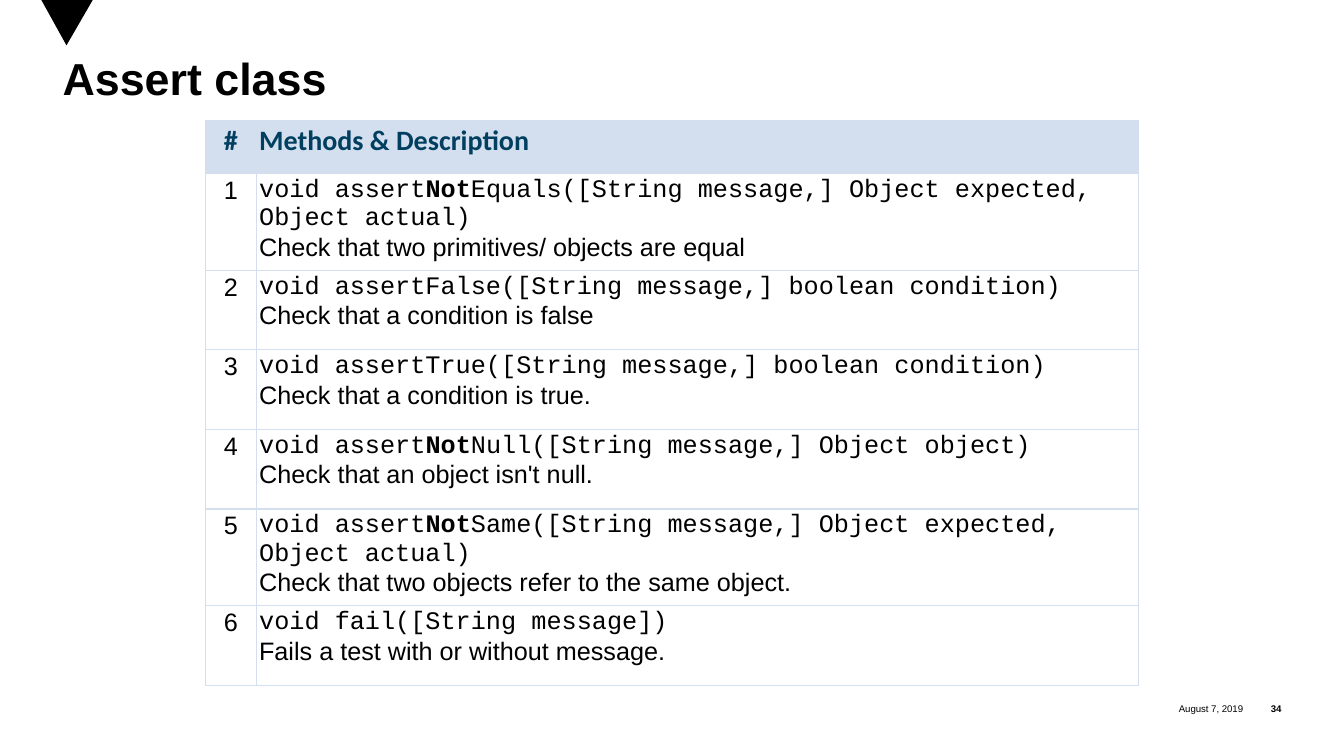
from lxml.etree import SubElement
from pptx import Presentation
from pptx.dml.color import RGBColor
from pptx.enum.text import MSO_ANCHOR, PP_ALIGN
from pptx.oxml.ns import qn
from pptx.util import Inches, Pt

INK = {"black": "000000", "navy": "003F60", "pale": "D3DFEE"}
CODE = "Courier New"
ROWS = [
    (["void assert", "Not", "Equals([String message,] Object expected, Object actual)"],
     "Check that two primitives/ objects are equal"),
    (["void assertFalse([String message,] boolean condition)"],
     "Check that a condition is false"),
    (["void assertTrue([String message,] boolean condition)"],
     "Check that a condition is true."),
    (["void assert", "Not", "Null([String message,] Object object)"],
     "Check that an object isn't null."),
    (["void assert", "Not", "Same([String message,] Object expected, Object actual)"],
     "Check that two objects refer to the same object."),
    (["void fail([String message])"],
     "Fails a test with or without message."),
]


def tint(name):
    return RGBColor.from_string(INK[name])


def write(para, text, size=18, font="Arial", color="black", bold=False, align=PP_ALIGN.LEFT):
    para.alignment = align
    run = para.add_run()
    run.text = text
    run.font.size = Pt(size)
    run.font.name = font
    run.font.bold = bold
    run.font.color.rgb = tint(color)


class Page:
    def __init__(self, deck):
        self.slide = deck.slides.add_slide(deck.slide_layouts[5])
        self.shapes = self.slide.shapes
        self.pad = Inches(0.03)
        self.head = {"size": 20, "font": "Calibri", "color": "navy", "bold": True}

    def inset(self, item, pad):
        item.margin_left = item.margin_right = pad
        item.margin_top = item.margin_bottom = pad

    def mark(self):
        pen = self.shapes.build_freeform(Inches(0.41), 0)
        pen.add_line_segments([(Inches(0.66), Inches(0.45)), (Inches(0.92), 0)])
        shape = pen.convert_to_shape()
        shape.shadow.inherit = False
        shape.fill.solid()
        shape.fill.fore_color.rgb = tint("black")
        shape.line.fill.background()

    def title(self, text):
        shape = self.shapes.title
        shape.left, shape.top = Inches(0.62), Inches(0.58)
        shape.width, shape.height = Inches(12.08), Inches(1.29)
        frame = shape.text_frame
        self.inset(frame, 0)
        frame.vertical_anchor = MSO_ANCHOR.TOP
        para = frame.paragraphs[0]
        para.line_spacing = 0.85
        write(para, text, size=32, bold=True)

    def note(self, text, left, width, bold=False):
        box = self.shapes.add_textbox(Inches(left), Inches(6.91), Inches(width), Inches(0.25))
        frame = box.text_frame
        frame.word_wrap = True
        frame.vertical_anchor = MSO_ANCHOR.MIDDLE
        self.inset(frame, 0)
        write(frame.paragraphs[0], text, size=6.9, bold=bold, align=PP_ALIGN.RIGHT)

    def dress(self, cell, fill=None):
        self.inset(cell, self.pad)
        props = cell._tc.get_or_add_tcPr()
        for side in ("lnL", "lnR", "lnT", "lnB"):
            line = SubElement(props, qn("a:" + side), w=str(Pt(1)))
            solid = SubElement(line, qn("a:solidFill"))
            SubElement(solid, qn("a:srgbClr"), val=INK["pale"])
        if fill:
            cell.fill.solid()
            cell.fill.fore_color.rgb = tint(fill)
        else:
            cell.fill.background()

    def table(self, rows):
        frame = self.shapes.add_table(len(rows) + 1, 2, Inches(2.04), Inches(1.2),
                                      Inches(9.25), Inches(5.26))
        grid = frame.table
        grid.first_row = grid.horz_banding = False
        grid.columns[0].width, grid.columns[1].width = Inches(0.5), Inches(8.75)
        for row in grid.rows:
            row.height = Inches(0.79)
        grid.rows[0].height = Inches(0.52)
        for cell, text, align in zip(grid.rows[0].cells, ("#", "Methods & Description"),
                                     (PP_ALIGN.CENTER, PP_ALIGN.LEFT)):
            self.dress(cell, "pale")
            write(cell.text_frame.paragraphs[0], text, align=align, **self.head)
        for num, (code, about) in enumerate(rows, 1):
            left, right = grid.cell(num, 0), grid.cell(num, 1)
            self.dress(left)
            self.dress(right)
            write(left.text_frame.paragraphs[0], str(num), align=PP_ALIGN.CENTER)
            for part in code:
                write(right.text_frame.paragraphs[0], part, font=CODE, bold=part == "Not")
            write(right.text_frame.add_paragraph(), about)


def main():
    deck = Presentation()
    deck.slide_width, deck.slide_height = Inches(13.33), Inches(7.5)
    page = Page(deck)
    page.mark()
    page.note("August 7, 2019", 10.84, 1.49)
    page.note("34", 12.33, 0.38, bold=True)
    page.title("Assert class")
    page.table(ROWS)
    deck.save("out.pptx")


if __name__ == "__main__":
    main()
